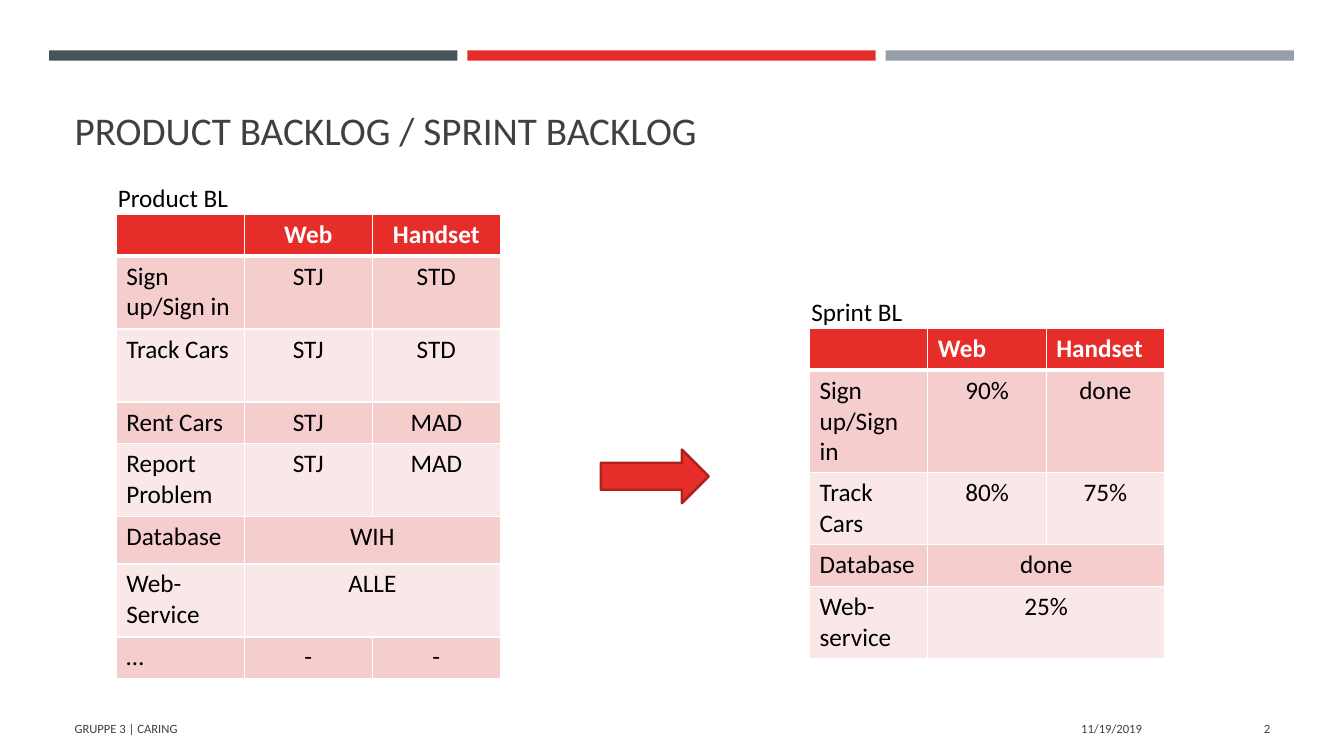
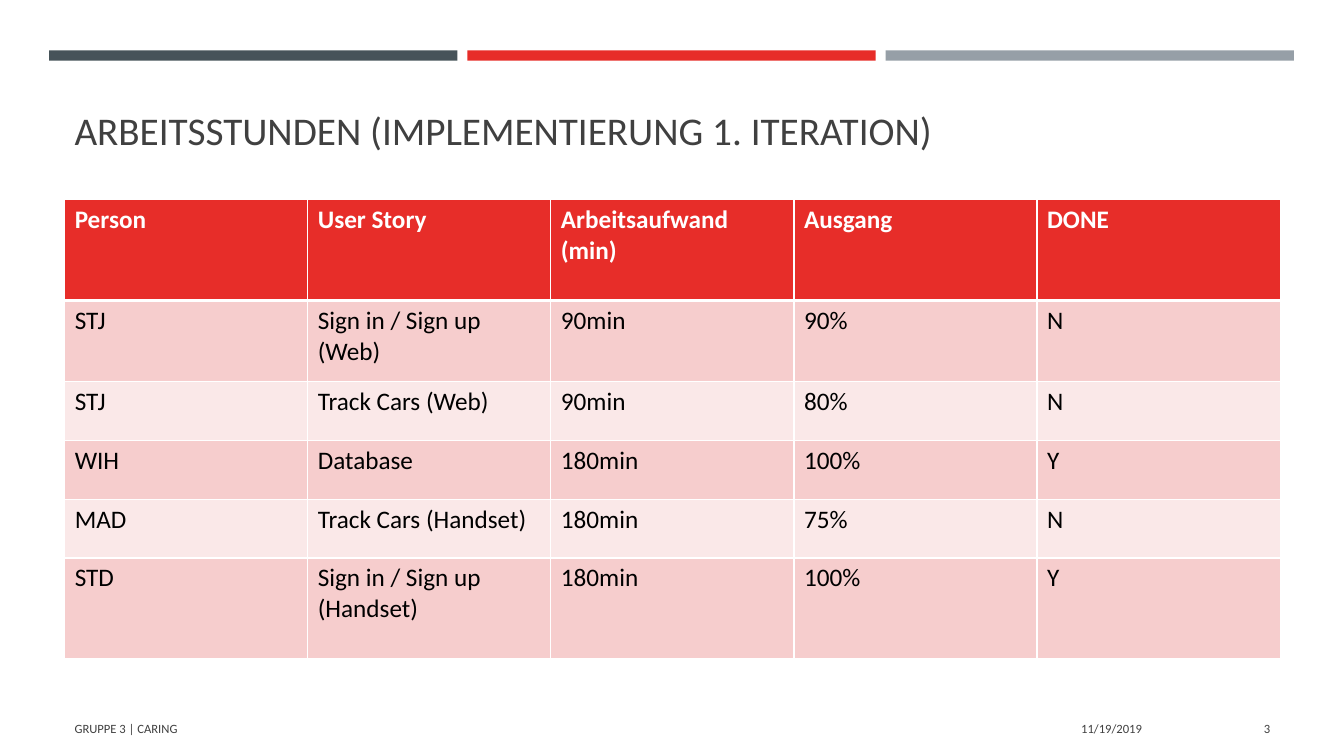
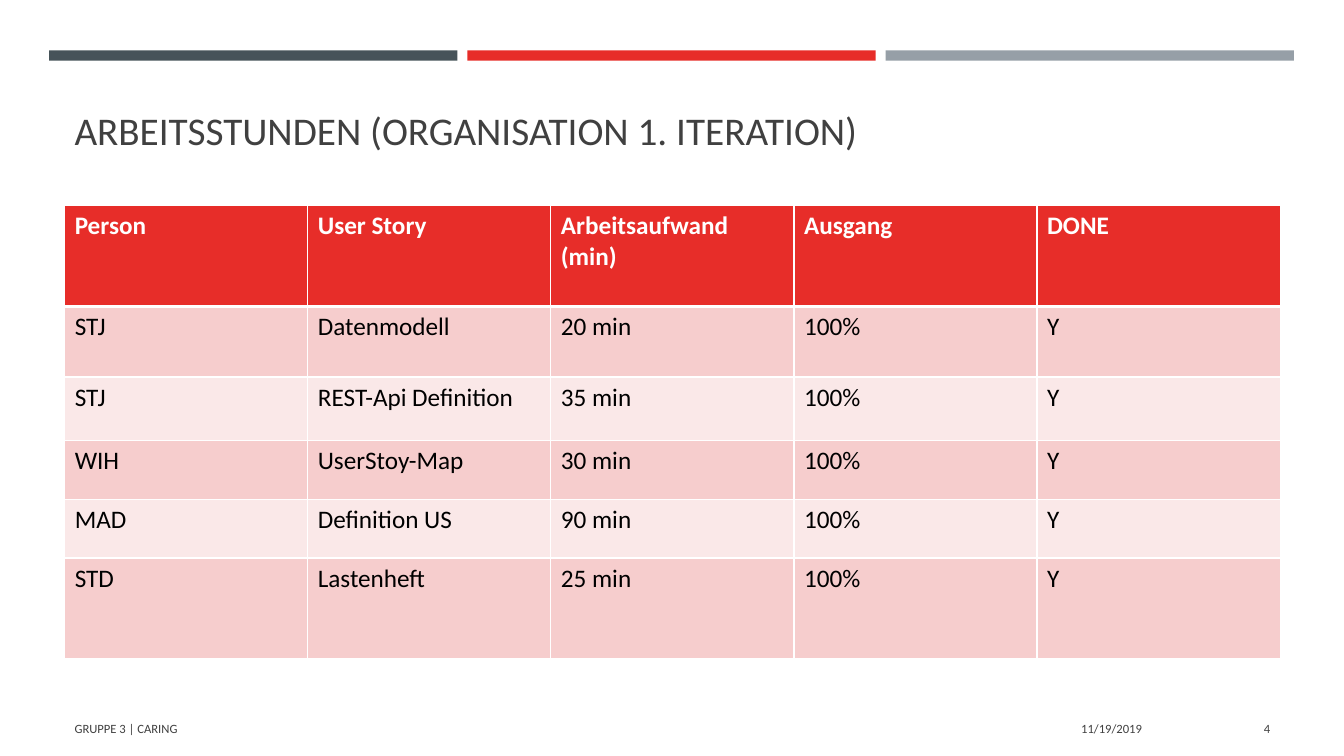
from lxml import etree
from pptx import Presentation
from pptx.dml.color import RGBColor
from pptx.enum.shapes import MSO_SHAPE
from pptx.enum.text import MSO_ANCHOR, PP_ALIGN
from pptx.oxml.ns import qn
from pptx.util import Cm, Pt

LEFT, CENTER, RIGHT = PP_ALIGN.LEFT, PP_ALIGN.CENTER, PP_ALIGN.RIGHT
TOP, MIDDLE, BOTTOM = MSO_ANCHOR.TOP, MSO_ANCHOR.MIDDLE, MSO_ANCHOR.BOTTOM
RECTANGLE, RIGHT_ARROW = MSO_SHAPE.RECTANGLE, MSO_SHAPE.RIGHT_ARROW

SLATE = RGBColor(0x46, 0x53, 0x59)
RED = RGBColor(0xE7, 0x2D, 0x29)
GRAY = RGBColor(0x96, 0x9F, 0xA7)
DARK_RED = RGBColor(0xAB, 0x21, 0x1E)
ROSE = RGBColor(0xF6, 0xCD, 0xCD)
PALE_ROSE = RGBColor(0xFA, 0xE8, 0xE8)
CHARCOAL = RGBColor(0x40, 0x40, 0x40)
BLACK = RGBColor(0, 0, 0)
WHITE = RGBColor(0xFF, 0xFF, 0xFF)

FONT = "Calibri"
FOOTER = "GRUPPE 3 | CARING"
DATE = "11/19/2019"
FIRST_NUMBER = 2
MARGIN, CONTENT_WIDTH = 1.63, 30.63
BANDS = (SLATE, RED, GRAY)
BAND_LEFT, BAND_WIDTH, BAND_GAP = 1.24, 10.29, 0.25
BACKLOG_HEADER = ("", "Web", "Handset")
HOURS_HEADER = ("Person", "User Story", "Arbeitsaufwand (min)", "Ausgang", "DONE")

PRODUCT_BACKLOG = {
    "label": ("Product BL", 2.72, 4.47, 3.43),
    "at": (2.93, 5.4, 9.68),
    "heights": (1.05, 1.84, 1.84, 1.05, 1.84, 1.19, 1.84, 1.05),
    "header_align": CENTER,
    "body_align": CENTER,
    "rows": [
        BACKLOG_HEADER,
        ("Sign up/Sign in", "STJ", "STD"),
        ("Track Cars", "STJ", "STD"),
        ("Rent Cars", "STJ", "MAD"),
        ("Report Problem", "STJ", "MAD"),
        ("Database", "WIH", None),
        ("Web-Service", "ALLE", None),
        ("…", "-", "-"),
    ],
}
SPRINT_BACKLOG = {
    "label": ("Sprint BL", 20.2, 7.34, 2.92),
    "at": (20.4, 8.28, 8.95),
    "heights": (1.05, 2.58, 1.82, 1.05, 1.82),
    "header_align": LEFT,
    "body_align": CENTER,
    "rows": [
        BACKLOG_HEADER,
        ("Sign up/Sign in", "90%", "done"),
        ("Track Cars", "80%", "75%"),
        ("Database", "done", None),
        ("Web-service", "25%", None),
    ],
}
IMPLEMENTATION_HOURS = {
    "at": (MARGIN, 5.03, CONTENT_WIDTH),
    "heights": (2.54, 2.05, 1.48, 1.48, 1.48, 2.54),
    "rows": [
        HOURS_HEADER,
        ("STJ", "Sign in / Sign up (Web)", "90min", "90%", "N"),
        ("STJ", "Track Cars (Web)", "90min", "80%", "N"),
        ("WIH", "Database", "180min", "100%", "Y"),
        ("MAD", "Track Cars (Handset)", "180min", "75%", "N"),
        ("STD", "Sign in / Sign up (Handset)", "180min", "100%", "Y"),
    ],
}
ORGANISATION_HOURS = {
    "at": (MARGIN, 5.18, CONTENT_WIDTH),
    "heights": (2.54, 1.78, 1.6, 1.48, 1.48, 2.54),
    "rows": [
        HOURS_HEADER,
        ("STJ", "Datenmodell", "20 min", "100%", "Y"),
        ("STJ", "REST-Api Definition", "35 min", "100%", "Y"),
        ("WIH", "UserStoy-Map", "30 min", "100%", "Y"),
        ("MAD", "Definition US", "90 min", "100%", "Y"),
        ("STD", "Lastenheft", "25 min", "100%", "Y"),
    ],
}
SLIDES = [
    {
        "title": "PRODUCT BACKLOG / SPRINT BACKLOG",
        "tables": [PRODUCT_BACKLOG, SPRINT_BACKLOG],
        "arrow": (15.14, 11.33, 2.72, 1.35),
    },
    {
        "title": "ARBEITSSTUNDEN (IMPLEMENTIERUNG 1. ITERATION)",
        "tables": [IMPLEMENTATION_HOURS],
    },
    {
        "title": "ARBEITSSTUNDEN (ORGANISATION 1. ITERATION)",
        "tables": [ORGANISATION_HOURS],
    },
]


def write(frame, text, size, color, align=LEFT, bold=False):
    frame.text = text
    paragraph = frame.paragraphs[0]
    paragraph.alignment = align
    font = paragraph.font
    font.name, font.size, font.bold = FONT, Pt(size), bold
    font.color.rgb = color


def add_text(slide, text, box, size, color, align=LEFT, anchor=TOP, wrap=True):
    frame = slide.shapes.add_textbox(*map(Cm, box)).text_frame
    frame.word_wrap = wrap
    frame.vertical_anchor = anchor
    write(frame, text, size, color, align)


def add_filled(slide, preset, box, fill):
    shape = slide.shapes.add_shape(preset, *map(Cm, box))
    shape.shadow.inherit = False
    shape.fill.solid()
    shape.fill.fore_color.rgb = fill
    shape.line.fill.background()
    return shape


def add_borders(cell, row):
    widths = {
        "a:lnL": 1,
        "a:lnR": 1,
        "a:lnT": 3 if row == 1 else 1,
        "a:lnB": 3 if row == 0 else 1,
    }
    properties = cell._tc.get_or_add_tcPr()
    for position, (side, width) in enumerate(widths.items()):
        border = etree.Element(qn(side), w=str(Pt(width)))
        fill = etree.SubElement(border, qn("a:solidFill"))
        etree.SubElement(fill, qn("a:srgbClr"), val=str(WHITE))
        properties.insert(position, border)


def add_grid(slide, content):
    rows, heights = content["rows"], content["heights"]
    left, top, width = content["at"]
    count = len(rows[0])
    table = slide.shapes.add_table(
        len(rows), count, Cm(left), Cm(top), Cm(width), Cm(sum(heights))
    ).table
    for column in table.columns:
        column.width = Cm(width / count)
    for r, (texts, height) in enumerate(zip(rows, heights)):
        table.rows[r].height = Cm(height)
        header = r == 0
        fill = RED if header else (PALE_ROSE, ROSE)[r % 2]
        align = content.get("header_align" if header else "body_align", LEFT)
        for c, text in enumerate(texts):
            cell = table.cell(r, c)
            cell.fill.solid()
            cell.fill.fore_color.rgb = fill
            add_borders(cell, r)
            if text is None:
                table.cell(r, c - 1).merge(cell)
                continue
            write(cell.text_frame, text, 18, WHITE if header else BLACK,
                  align if c else LEFT, header)


def add_frame(slide, title, number):
    for i, color in enumerate(BANDS):
        band_left = BAND_LEFT + i * (BAND_WIDTH + BAND_GAP)
        add_filled(slide, RECTANGLE, (band_left, 1.27, BAND_WIDTH, 0.26), color)
    add_text(slide, title, (MARGIN, 1.96, CONTENT_WIDTH, 2.03), 28, CHARCOAL, anchor=BOTTOM)
    for text, left, width, align in (
        (FOOTER, MARGIN, 19.2, LEFT),
        (DATE, 21.13, 7.9, RIGHT),
        (str(number), 29.34, 2.92, RIGHT),
    ):
        add_text(slide, text, (left, 17.85, width, 1.02), 9, CHARCOAL, align, MIDDLE)


def main():
    deck = Presentation()
    deck.slide_width, deck.slide_height = Cm(33.87), Cm(19.05)
    blank = deck.slide_layouts[6]
    for number, content in enumerate(SLIDES, FIRST_NUMBER):
        slide = deck.slides.add_slide(blank)
        add_frame(slide, content["title"], number)
        for table in content["tables"]:
            add_grid(slide, table)
            if "label" in table:
                text, left, top, width = table["label"]
                add_text(slide, text, (left, top, width, 1.02), 18, BLACK, wrap=False)
        if "arrow" in content:
            arrow = add_filled(slide, RIGHT_ARROW, content["arrow"], RED)
            arrow.line.color.rgb = DARK_RED
            arrow.line.width = Pt(1.75)
    deck.save("out.pptx")


if __name__ == "__main__":
    main()
